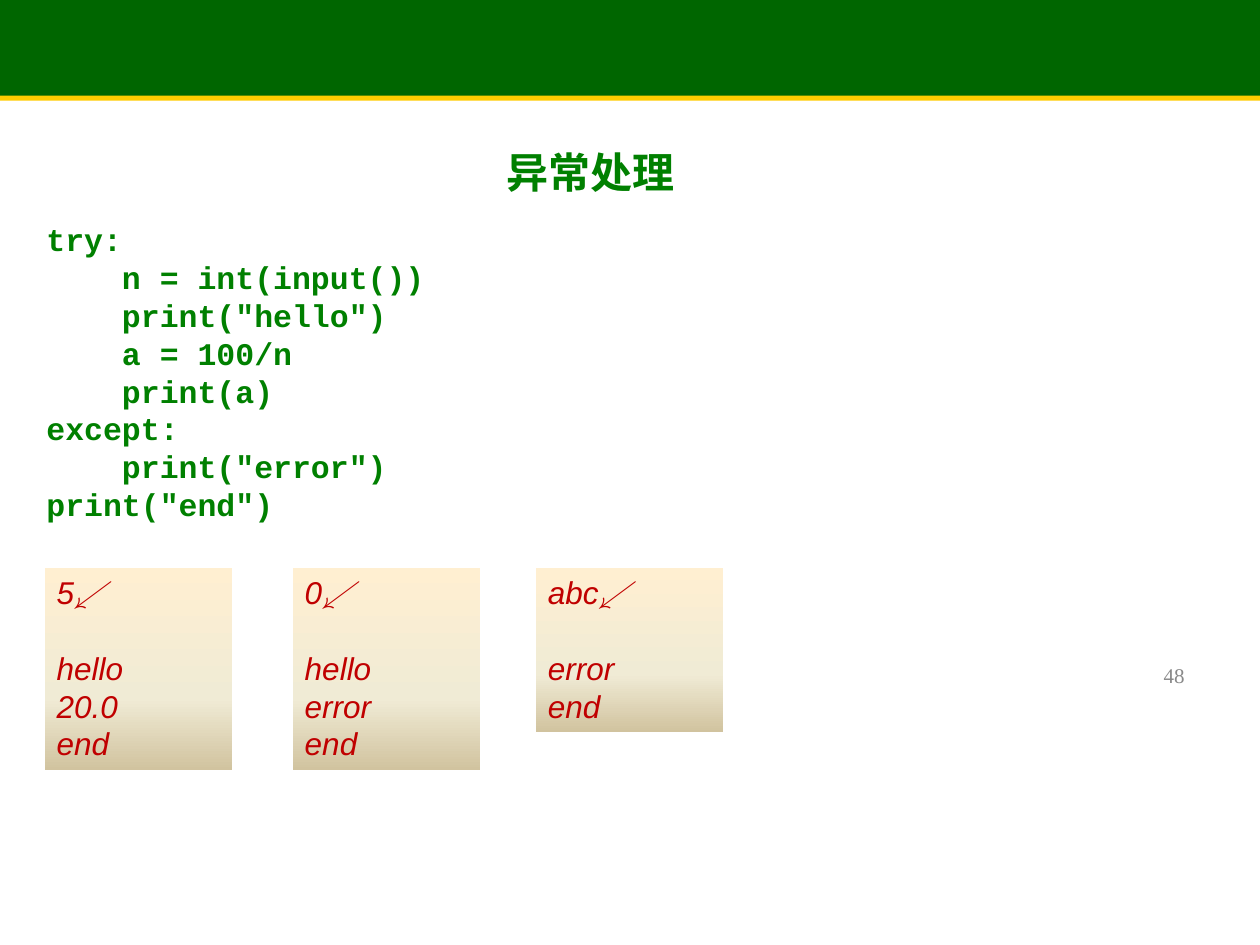
import copy

import pptx
import pptx.dml.color
import pptx.enum.dml
import pptx.enum.shapes
import pptx.enum.text
import pptx.oxml.ns
import pptx.util

Inches = pptx.util.Inches
Pt = pptx.util.Pt
RGB = pptx.dml.color.RGBColor
ALIGN = pptx.enum.text.PP_ALIGN
ANCHOR = pptx.enum.text.MSO_ANCHOR
RECT = pptx.enum.shapes.MSO_SHAPE.RECTANGLE

DARK = RGB(0x00, 0x66, 0x00)
GOLD = RGB(0xFF, 0xCC, 0x00)
GREEN = RGB(0x00, 0x80, 0x00)
RED = RGB(0xC0, 0x00, 0x00)
GREY = RGB(0x89, 0x89, 0x89)
WHITE = RGB(0xFF, 0xFF, 0xFF)
SAND = [(0, RGB(0xFF, 0xEF, 0xD1)), (0.65, RGB(0xF0, 0xEB, 0xD5)),
        (1, RGB(0xD1, 0xC3, 0x9F))]
LINE = Pt(21.6)

CODE = [(0, "try:"), (1, "n = int(input())"), (1, 'print("hello")'),
        (1, "a = 100/n"), (1, "print(a)"), (0, "except:"),
        (1, 'print("error")'), (0, 'print("end")')]
RUNS = [(0.35, "5↙", ["hello", "20.0", "end"]),
        (2.32, "0↙", ["hello", "error", "end"]),
        (4.25, "abc↙", ["error", "end"])]


def style(para, face, size, color, bold=False, italic=False):
    for run in para.runs:
        font = run.font
        font.name, font.size = face, Pt(size)
        font.bold, font.italic = bold, italic
        font.color.rgb = color
        east = font._element.makeelement(
            pptx.oxml.ns.qn("a:ea"), {"typeface": face})
        font._element.find(pptx.oxml.ns.qn("a:latin")).addnext(east)


def add_rect(slide, box):
    shape = slide.shapes.add_shape(RECT, *map(Inches, box))
    shape.shadow.inherit = False
    return shape


def add_band(slide, box, color):
    band = add_rect(slide, box)
    band.fill.solid()
    band.fill.fore_color.rgb = color
    band.line.fill.background()


def add_title(slide, box, text):
    title = slide.shapes.title
    title.left, title.top, title.width, title.height = map(Inches, box)
    frame = title.text_frame
    frame.text = text
    frame.vertical_anchor = ANCHOR.MIDDLE
    frame.paragraphs[0].alignment = ALIGN.CENTER
    style(frame.paragraphs[0], "Noto Sans CJK SC", 24, GREEN, bold=True)


def add_code(slide, box, lines):
    frame = slide.shapes.add_textbox(*map(Inches, box)).text_frame
    frame.word_wrap = True
    frame.text = "\n".join(text for _, text in lines)
    for para, (level, _) in zip(frame.paragraphs, lines):
        para.line_spacing = LINE
        para._p.get_or_add_pPr().set("marL", str(Inches(0.6 * level)))
        style(para, "Courier New", 18, GREEN, bold=True)


def fill_sand(shape):
    """Fill from light at the top to dark at the foot, in three stops."""
    fill = shape.fill
    fill.gradient()
    fill.gradient_angle = 270
    first = fill.gradient_stops[0]._gs
    first.addnext(copy.deepcopy(first))
    for stop, (place, color) in zip(fill.gradient_stops, SAND):
        stop.position = place
        stop.color.rgb = color


def add_run(slide, left, top, typed, output):
    """Show what is typed, a gap of one line, and what is printed."""
    lines = [typed] + output
    box = left, top, 1.49, 0.11 + 0.3 * (len(lines) + 1)
    shape = add_rect(slide, box)
    fill_sand(shape)
    shape.line.color.rgb = WHITE
    shape.line.width = Pt(0.25)
    frame = shape.text_frame
    frame.word_wrap = True
    frame.vertical_anchor = ANCHOR.TOP
    frame.text = "\n".join(lines)
    for para in frame.paragraphs:
        para.alignment = ALIGN.LEFT
        para.line_spacing = LINE
        style(para, "Arial", 18, RED, italic=True)
    frame.paragraphs[0].space_after = LINE


def add_number(slide, box, text):
    frame = slide.shapes.add_textbox(*map(Inches, box)).text_frame
    frame.word_wrap = True
    frame.vertical_anchor = ANCHOR.MIDDLE
    frame.text = text
    frame.paragraphs[0].alignment = ALIGN.RIGHT
    style(frame.paragraphs[0], "Times New Roman", 12, GREY)


def main():
    deck = pptx.Presentation()
    deck.slide_width, deck.slide_height = Inches(10), Inches(7.5)
    slide = deck.slides.add_slide(deck.slide_layouts[5])
    add_band(slide, (0, 0, 10, 0.79), DARK)
    add_band(slide, (0, 0.76, 10, 0.04), GOLD)
    add_title(slide, (0.12, 1.07, 9.14, 0.59), "异常处理")
    add_code(slide, (0.27, 1.7, 9.37, 3.33), CODE)
    add_number(slide, (7.17, 5.21, 2.33, 0.3), "48")
    for left, typed, output in RUNS:
        add_run(slide, left, 4.5, typed, output)
    deck.save("out.pptx")


if __name__ == "__main__":
    main()
